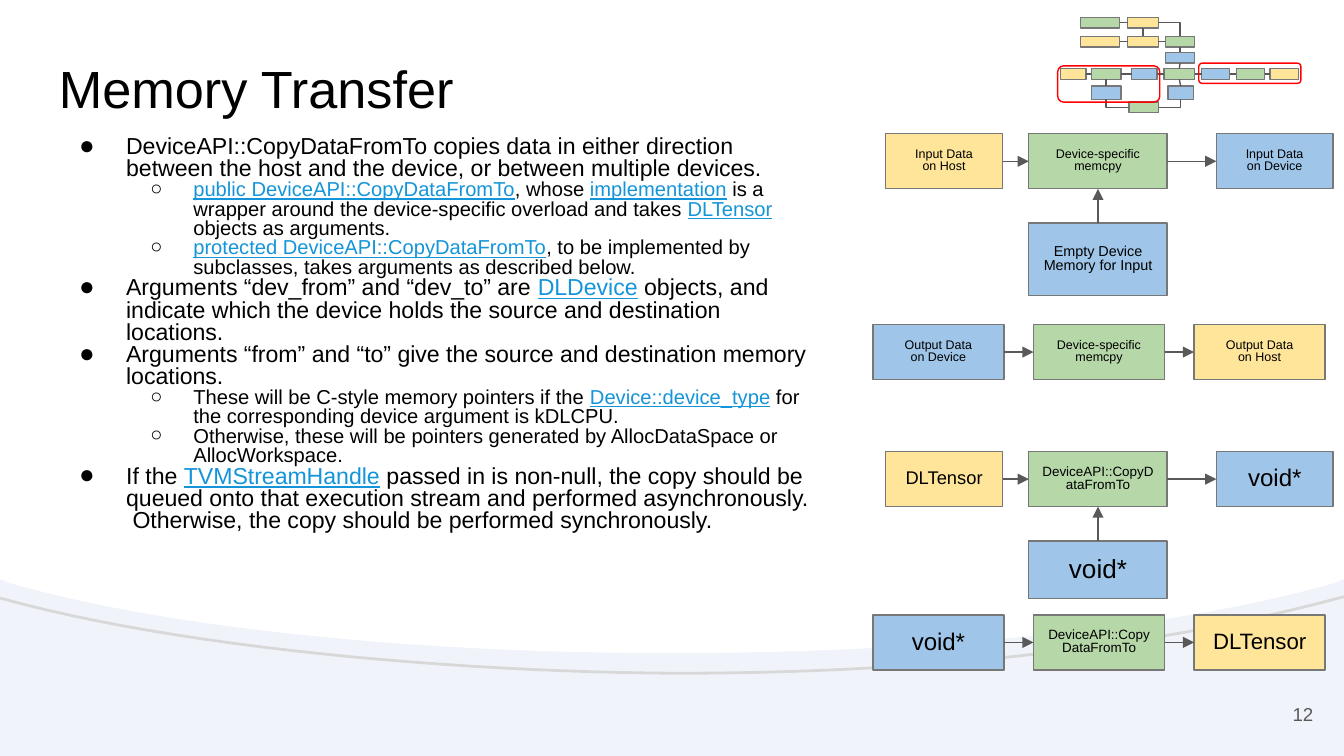
from dataclasses import dataclass

from lxml import etree
from pptx import Presentation
from pptx import util as u
from pptx.dml.color import RGBColor
from pptx.enum import shapes, text
from pptx.oxml.ns import qn

CELL = u.Inches(0.01)  # the slide is a grid of 1000 columns by 562.5 rows
COLUMNS, ROWS = 1000, 562.5
TOP, LEFT, BOTTOM, RIGHT = range(4)


@dataclass(frozen=True)
class Theme:
    font: str = "Arial"
    ink: str = "000000"
    link: str = "1494D9"
    line: str = "595959"
    edge: str = "777777"
    frame: str = "FF0000"
    paper: str = "FFFFFF"
    ground: str = "F0F4FA"
    arc: str = "D8D8D8"
    host: str = "FFE599"
    call: str = "B6D7A8"
    device: str = "9FC5E8"
    title: float = 28
    body: tuple = (12.4, 10.8)
    number: float = 10
    thin: float = 0.75


THEME = Theme()
RGB = RGBColor.from_string


# Basic parts
def style(shape, fill=None, line=None, width=THEME.thin):
    shape.shadow.inherit = False
    if fill:
        shape.fill.solid()
        shape.fill.fore_color.rgb = RGB(fill)
    else:
        shape.fill.background()
    if line:
        shape.line.color.rgb = RGB(line)
        shape.line.width = u.Pt(width)
    else:
        shape.line.fill.background()
    return shape


def add_box(page, box, fill=None, line=THEME.edge, kind=shapes.MSO_SHAPE.RECTANGLE):
    return style(page.shapes.add_shape(kind, *(round(n * CELL) for n in box)), fill, line)


def add_path(page, points, closed=False, **look):
    points = [(round(x * CELL), round(y * CELL)) for x, y in points]
    builder = page.shapes.build_freeform(*points[0], scale=1.0)
    builder.add_line_segments(points[1:], close=closed)
    return style(builder.convert_to_shape(), **look)


def curve(*knots, steps=24):
    """Points along one cubic curve."""
    def at(t):
        weights = ((1 - t) ** 3, 3 * t * (1 - t) ** 2, 3 * t * t * (1 - t), t ** 3)
        return tuple(sum(w * k[axis] for w, k in zip(weights, knots)) for axis in (0, 1))
    return [at(step / steps) for step in range(steps + 1)]


def join(page, start, start_side, end, end_side, arrow=False):
    link = page.shapes.add_connector(shapes.MSO_CONNECTOR.STRAIGHT, 0, 0, 0, 0)
    link.begin_connect(start, start_side)
    link.end_connect(end, end_side)
    link.line.color.rgb = RGB(THEME.line)
    link.line.width = u.Pt(THEME.thin)
    if arrow:
        outline = link._element.spPr.find(qn("a:ln"))
        etree.SubElement(outline, qn("a:tailEnd"), type="triangle")
    etree.SubElement(link._element.spPr, qn("a:effectLst"))


def format_span(span, size, color=THEME.ink):
    span.font.name, span.font.size = THEME.font, u.Pt(size)
    span.font.color.rgb = RGB(color)


def write(shape, words, size, color=THEME.ink, align=text.PP_ALIGN.LEFT,
          anchor=text.MSO_ANCHOR.TOP, spacing=1.0):
    frame = shape.text_frame
    frame.word_wrap, frame.vertical_anchor = True, anchor
    frame.margin_left = frame.margin_right = frame.margin_top = frame.margin_bottom = 10 * CELL
    frame.text = words
    for para in frame.paragraphs:
        para.alignment, para.line_spacing = align, spacing
        for span in para.runs:
            format_span(span, size, color)
    return frame


def add_words(page, box, *args, **look):
    return write(page.shapes.add_textbox(*(n * CELL for n in box)), *args, **look)


# Background: white sheet with a curved lower edge, and a grey arc
def backdrop(page):
    page.background.fill.solid()
    page.background.fill.fore_color.rgb = RGB(THEME.ground)
    add_box(page, (0, 0, COLUMNS, 405), THEME.paper, None)
    edge = (curve((992, 434), (885, 465), (705, 486), (500, 486))
            + curve((500, 486), (295, 486), (115, 465), (8, 434)))
    add_path(page, [(0, 361), (COLUMNS, 361), (COLUMNS, 431), *edge, (0, 431)],
             closed=True, fill=THEME.paper)
    arc = (curve((0, 445), (133, 482), (337, 500), (504, 501))
           + curve((504, 501), (670, 501), (846, 486), (1000, 444)))
    add_path(page, arc, line=THEME.arc, width=1.5)


# Overview map: nodes are (column, row, width, height, colour) within the box
NODES = {
    "a1": (17, 0, 29, 8, THEME.call), "a2": (52, 0, 23, 8, THEME.host),
    "b1": (17, 14, 29, 8, THEME.host), "b2": (52, 14, 23, 8, THEME.host),
    "b3": (80, 14, 22, 8, THEME.call), "c": (80, 26, 22, 8, THEME.device),
    "d1": (2, 38, 19, 8, THEME.host), "d2": (25, 38, 22, 8, THEME.call),
    "d3": (55, 38, 19, 8, THEME.device), "d4": (79, 38, 23, 8, THEME.call),
    "d5": (107, 38, 21, 8, THEME.device), "d6": (133, 38, 21, 8, THEME.call),
    "d7": (158, 38, 21, 8, THEME.host), "e1": (25, 51, 22, 10, THEME.device),
    "e2": (82, 51, 19, 10, THEME.device), "f": (53, 63, 22, 8, THEME.call),
}
ACROSS = ("a1 a2", "b1 b2", "b2 b3", "d1 d2", "d2 d3", "d3 d4", "d4 d5", "d5 d6", "d6 d7")
DOWN = ("a2 b2", "b3 c", "c d4", "d2 e1", "d4 e2")
CORNERS = ("a2 b3", "f e1", "f e2")
FRAMES = ((0, 36, 76, 27), (105, 34, 76, 15))


def overview(page, left, top):
    nodes = {name: add_box(page, (left + x, top + y, w, h), fill)
             for name, (x, y, w, h, fill) in NODES.items()}
    for pairs, out, into in ((ACROSS, RIGHT, LEFT), (DOWN, BOTTOM, TOP)):
        for pair in pairs:
            start, end = pair.split()
            join(page, nodes[start], out, nodes[end], into)
    for pair in CORNERS:
        (x, y, w, h, _), (to_x, to_y, to_w, to_h, _) = (NODES[name] for name in pair.split())
        middle, turn = y + h / 2, to_x + to_w / 2
        begin = x + w if turn > x else x
        finish = to_y if to_y > y else to_y + to_h
        corner = ((begin, middle), (turn, middle), (turn, finish))
        add_path(page, [(left + px, top + py) for px, py in corner], line=THEME.line)
    for x, y, w, h in FRAMES:
        add_box(page, (left + x, top + y, w, h), None, THEME.frame,
                shapes.MSO_SHAPE.ROUNDED_RECTANGLE)


# Copy flow: source, call and target in a row, with an optional feeder below the call
def flow(page, left, top, widths, gaps, steps, feeder=None):
    def step(box, words, size, fill):
        node = add_box(page, box, fill)
        write(node, words, size, align=text.PP_ALIGN.CENTER,
              anchor=text.MSO_ANCHOR.MIDDLE, spacing=0.9 if size > 10 else 0.8)
        return node

    height, row = 41, []
    for width, gap, parts in zip(widths, (*gaps, 0), steps):
        row.append(step((left, top, width, height), *parts))
        left += width + gap
    for start, end in zip(row, row[1:]):
        join(page, start, RIGHT, end, LEFT, arrow=True)
    if feeder:
        feeder_height, *parts = feeder
        call_left = row[1].left / CELL
        below = step((call_left, top + height + 25.5, widths[1], feeder_height), *parts)
        join(page, below, TOP, row[1], BOTTOM, arrow=True)


WIDE = ((87, 103, 87), (19.5, 36.5))
EVEN = ((97.5, 97.5, 97.5), (22, 22))
MEMCPY = ("Device-specific memcpy", 6.7, THEME.call)
COPY = ("DeviceAPI::CopyDataFromTo", 7.2, THEME.call)
POINTER = ("void*", 12.9, THEME.device)
FLOWS = (
    (659, 99.5, *WIDE, (("Input Data\von Host", 6.7, THEME.host), MEMCPY,
                        ("Input Data\von Device", 6.7, THEME.device)),
     (54, "Empty Device Memory for Input", 7.7, THEME.device)),
    (649.5, 241.5, *EVEN, (("Output Data\von Device", 6.7, THEME.device), MEMCPY,
                           ("Output Data\von Host", 6.7, THEME.host))),
    (659, 336, *WIDE, (("DLTensor", 9.8, THEME.host), COPY, POINTER),
     (43, "void*", 14, THEME.device)),
    (649.5, 457.5, *EVEN, (POINTER, COPY, ("DLTensor", 11.9, THEME.host))),
)

# Bulleted text: (level, words), with linked words between bars
BULLETS = (
    (0, "DeviceAPI::CopyDataFromTo copies data in either direction between the host and "
        "the device, or between multiple devices."),
    (1, "|public DeviceAPI::CopyDataFromTo|, whose |implementation| is a wrapper around the "
        "device-specific overload and takes |DLTensor| objects as arguments."),
    (1, "|protected DeviceAPI::CopyDataFromTo|, to be implemented by subclasses, takes "
        "arguments as described below."),
    (0, "Arguments “dev_from” and “dev_to” are |DLDevice| objects, and indicate which the "
        "device holds the source and destination locations."),
    (0, "Arguments “from” and “to” give the source and destination memory locations."),
    (1, "These will be C-style memory pointers if the |Device::device_type| for the "
        "corresponding device argument is kDLCPU."),
    (1, "Otherwise, these will be pointers generated by AllocDataSpace or AllocWorkspace."),
    (0, "If the |TVMStreamHandle| passed in is non-null, the copy should be queued onto that "
        "execution stream and performed asynchronously.  Otherwise, the copy should be "
        "performed synchronously."),
)


def bullet_list(page, box):
    frame = add_words(page, box, "", THEME.body[0])
    for index, (level, words) in enumerate(BULLETS):
        para = frame.add_paragraph() if index else frame.paragraphs[0]
        para.level, para.line_spacing = level, 0.8
        props = para._p.get_or_add_pPr()
        props.set("marL", str(50 * (level + 1) * CELL))
        props.set("indent", str(-(35, 32)[level] * CELL))
        color = etree.SubElement(props, qn("a:buClr"))
        etree.SubElement(color, qn("a:srgbClr"), val=THEME.ink)
        etree.SubElement(props, qn("a:buSzPct"), val=("112000", "100000")[level])
        etree.SubElement(props, qn("a:buFont"), typeface=THEME.font)
        etree.SubElement(props, qn("a:buChar"), char="●○"[level])
        for part, piece in enumerate(words.split("|")):
            if piece:
                span, linked = para.add_run(), part % 2 == 1
                span.text = piece
                format_span(span, THEME.body[level], THEME.link if linked else THEME.ink)
                span.font.underline = linked


def main():
    deck = Presentation()
    deck.slide_width, deck.slide_height = COLUMNS * CELL, round(ROWS * CELL)
    page = deck.slides.add_slide(deck.slide_layouts[6])
    backdrop(page)
    add_words(page, (34, 32, 932, 63), "Memory Transfer", THEME.title)
    bullet_list(page, (34, 92, 579, 350))
    add_words(page, (927, 510, 60, 43), "12", THEME.number, THEME.line,
              align=text.PP_ALIGN.RIGHT, anchor=text.MSO_ANCHOR.MIDDLE)
    overview(page, 787, 13)
    for parts in FLOWS:
        flow(page, *parts)
    deck.save("out.pptx")


if __name__ == "__main__":
    main()
